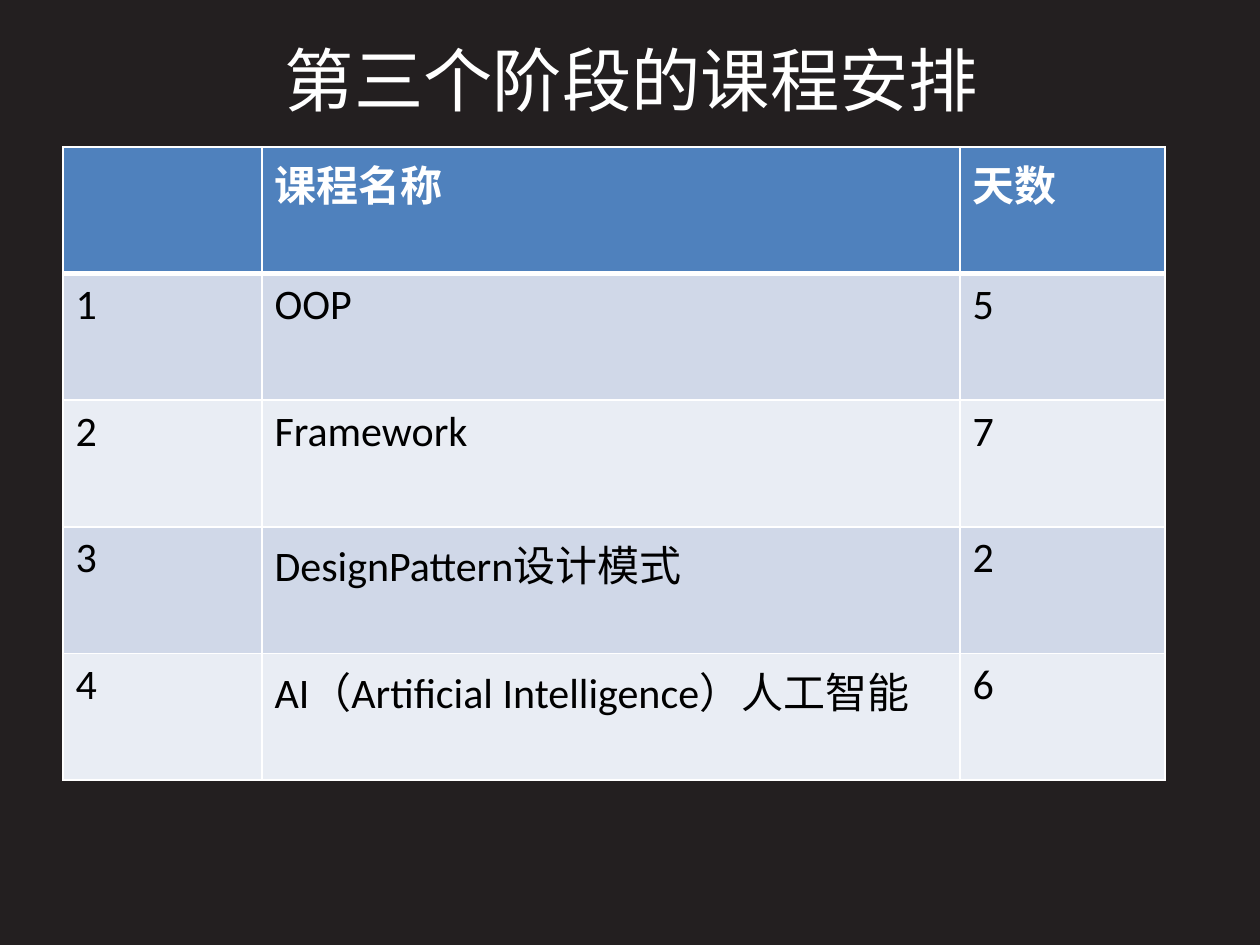
from lxml import etree
from pptx import Presentation
from pptx.dml.color import RGBColor
from pptx.enum.text import MSO_ANCHOR, PP_ALIGN
from pptx.oxml import parse_xml
from pptx.oxml.ns import nsdecls, qn
from pptx.util import Pt

MIDDLE = MSO_ANCHOR.MIDDLE
CENTER = PP_ALIGN.CENTER
PX = 914400 / 126
LATIN_FONT = "Calibri"
CHINESE_FONT = "Noto Sans CJK SC"
COLORS = {
    "background": "231F20",
    "white": "FFFFFF",
    "black": "000000",
    "header": "4F81BD",
    "odd": "D0D8E8",
    "even": "E9EDF4",
}
ROWS = [
    ["", "课程名称", "天数"],
    ["1", "OOP", "5"],
    ["2", "Framework", "7"],
    ["3", "DesignPattern设计模式", "2"],
    ["4", "AI（Artificial Intelligence）人工智能", "6"],
]
COLUMN_WIDTHS = [199, 698, 205]


def px(value):
    return round(value * PX)


def add_run(paragraph, text, size, color, font_name, bold=False):
    run = paragraph.add_run()
    run.text = text
    run.font.size = Pt(size)
    run.font.bold = bold
    run.font.color.rgb = RGBColor.from_string(COLORS[color])
    run.font.name = font_name
    east_asian = etree.SubElement(run.font._element, qn("a:ea"))
    east_asian.set("typeface", CHINESE_FONT)


presentation = Presentation()
presentation.slide_width = px(1260)
presentation.slide_height = px(945)
slide = presentation.slides.add_slide(presentation.slide_layouts[5])
slide.background.fill.solid()
slide.background.fill.fore_color.rgb = RGBColor.from_string(COLORS["background"])

# Title
title = slide.shapes.title
title.left, title.top, title.width, title.height = px(83), px(32), px(1097), px(94)
title.text_frame.vertical_anchor = MIDDLE
paragraph = title.text_frame.paragraphs[0]
paragraph.alignment = CENTER
add_run(paragraph, "第三个阶段的课程安排", 39.6, "white", CHINESE_FONT)

# Course table
table = slide.shapes.add_table(
    len(ROWS), len(COLUMN_WIDTHS), px(63), px(147), px(sum(COLUMN_WIDTHS)), px(633)
).table
for column, width in zip(table.columns, COLUMN_WIDTHS):
    column.width = px(width)

for row_index, row in enumerate(ROWS):
    is_header = row_index == 0
    fill_color = "header" if is_header else ("even", "odd")[row_index % 2]
    # The line below the header is thicker than the others
    border_widths = {
        "lnL": 1,
        "lnR": 1,
        "lnT": 3 if row_index == 1 else 1,
        "lnB": 3 if is_header else 1,
    }
    for column_index, text in enumerate(row):
        cell = table.cell(row_index, column_index)
        cell_properties = cell._tc.get_or_add_tcPr()
        for side, width in border_widths.items():
            cell_properties.append(parse_xml(
                f'<a:{side} {nsdecls("a")} w="{Pt(width)}"><a:solidFill>'
                f'<a:srgbClr val="{COLORS["white"]}"/></a:solidFill></a:{side}>'
            ))
        cell.fill.solid()
        cell.fill.fore_color.rgb = RGBColor.from_string(COLORS[fill_color])
        paragraph = cell.text_frame.paragraphs[0]
        if text:
            text_color = "white" if is_header else "black"
            add_run(paragraph, text, 24, text_color, LATIN_FONT, is_header)

presentation.save("out.pptx")
